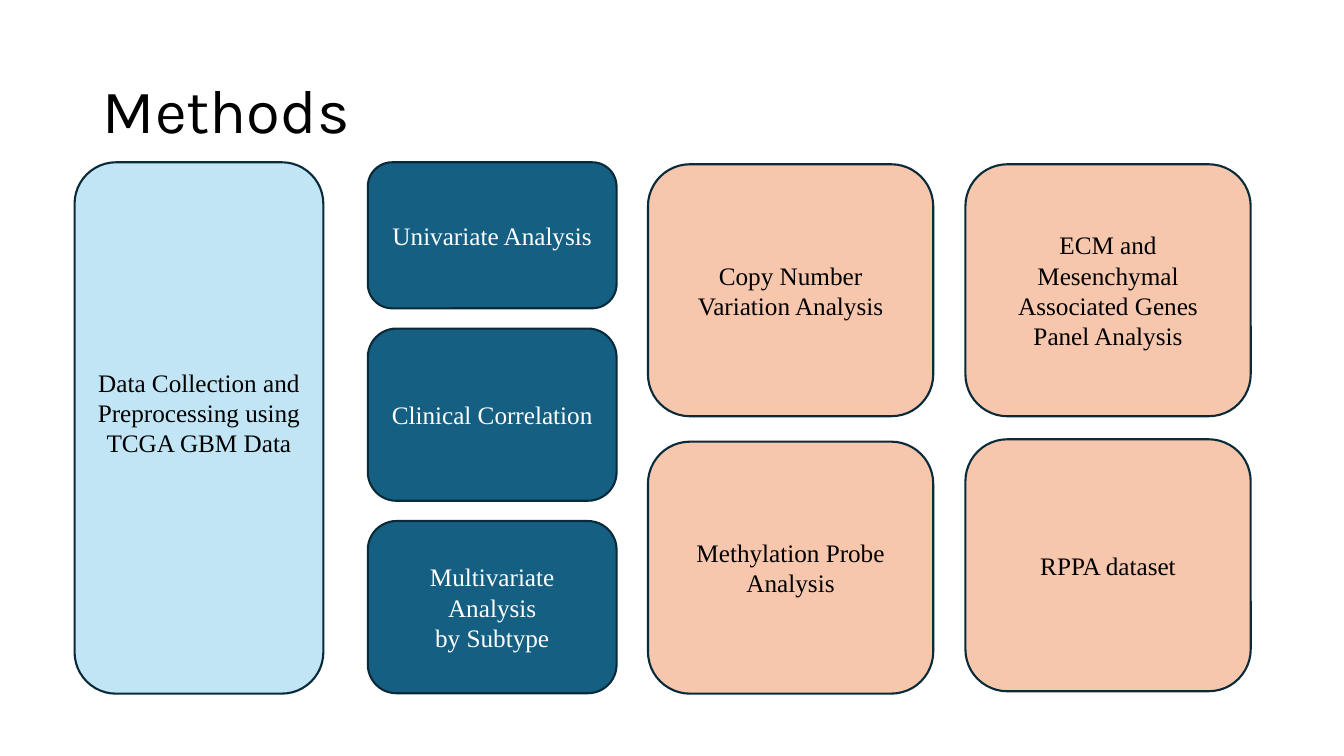
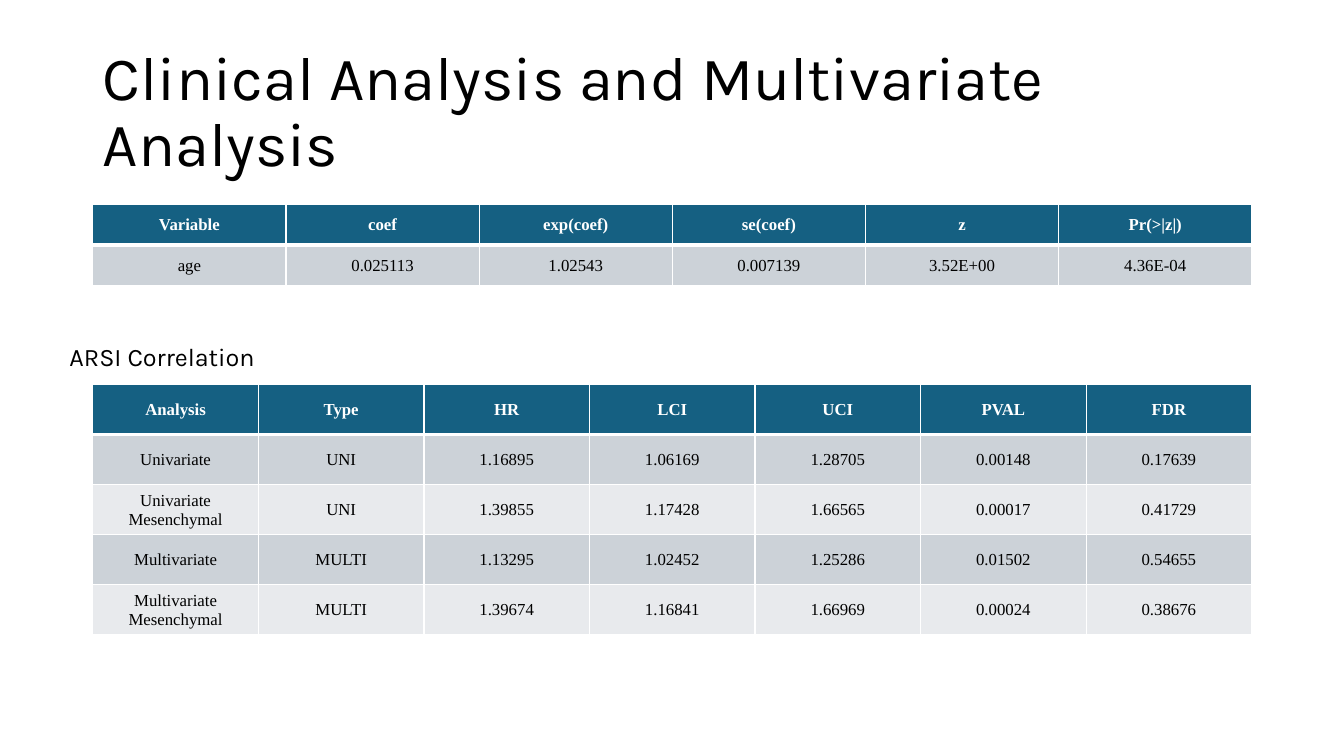
from pptx import Presentation
from pptx.dml.color import RGBColor
from pptx.enum.shapes import MSO_SHAPE
from pptx.enum.text import MSO_ANCHOR, MSO_AUTO_SIZE, PP_ALIGN
from pptx.oxml.ns import qn
from pptx.util import Cm, Pt
from lxml import etree

ROUND = MSO_SHAPE.ROUNDED_RECTANGLE
MIDDLE = MSO_ANCHOR.MIDDLE
FIXED = MSO_AUTO_SIZE.NONE
LEFT, CENTER = PP_ALIGN.LEFT, PP_ALIGN.CENTER

# Shared look
COLORS = {
    "black": "000000", "white": "FFFFFF", "edge": "092A39",
    "teal": "156082", "sky": "C1E5F5", "peach": "F6C6AD",
    "gray": "CCD2D8", "pale": "E8EAED",
}
SANS, SERIF = "Karla", "Times New Roman"
FONTS = {
    "title": {"name": SANS, "size": Pt(44), "bold": False},
    "label": {"name": SANS, "size": Pt(18), "bold": False},
    "card": {"name": SERIF, "size": Pt(18), "bold": False},
    "head": {"name": SERIF, "size": Pt(12), "bold": True},
    "cell": {"name": SERIF, "size": Pt(12), "bold": False},
}
FRAME = {"word_wrap": True, "auto_size": FIXED, "vertical_anchor": MIDDLE}
CELL = {
    "vertical_anchor": MIDDLE, "margin_left": Cm(0.03),
    "margin_right": Cm(0.03), "margin_top": Cm(0.03), "margin_bottom": 0,
}
EDGE, WIDE = 2.34, 29.21  # left edge and width of titles and tables

# Columns of cards: left, top, width, gap, fill, ink, [(height, text)]
COLUMNS = [
    (1.88, 4.09, 6.27, 0, "sky", "black", [
        (13.39, "Data Collection and Preprocessing using\nTCGA GBM Data")]),
    (9.27, 4.09, 6.27, 0.51, "teal", "white", [
        (3.68, "Univariate Analysis"),
        (4.34, "Clinical Correlation"),
        (4.34, "Multivariate Analysis\nby Subtype")]),
    (16.33, 4.14, 7.19, 0.64, "peach", "black", [
        (6.35, "Copy Number Variation Analysis"),
        (6.35, "Methylation Probe Analysis")]),
    (24.33, 4.14, 7.19, 0.58, "peach", "black", [
        (6.35, "ECM and Mesenchymal Associated Genes Panel Analysis"),
        (6.35, "RPPA dataset")]),
]
AGE = [
    ["Variable", "coef", "exp(coef)", "se(coef)", "z", "Pr(>|z|)"],
    ["age", "0.025113", "1.02543", "0.007139", "3.52E+00", "4.36E-04"],
]
ARSI = [
    ["Analysis", "Type", "HR", "LCI", "UCI", "PVAL", "FDR"],
    ["Univariate", "UNI", "1.16895", "1.06169", "1.28705", "0.00148", "0.17639"],
    ["Univariate Mesenchymal", "UNI", "1.39855", "1.17428", "1.66565", "0.00017", "0.41729"],
    ["Multivariate", "MULTI", "1.13295", "1.02452", "1.25286", "0.01502", "0.54655"],
    ["Multivariate Mesenchymal", "MULTI", "1.39674", "1.16841", "1.66969", "0.00024", "0.38676"],
]


def color(name):
    return RGBColor.from_string(COLORS[name])


def apply(item, values):
    for key, value in values.items():
        setattr(item, key, value)


def paint(item, name):
    item.fill.solid()
    item.fill.fore_color.rgb = color(name)


def write(frame, text, style, ink="black", align=LEFT):
    frame.text = text
    for para in frame.paragraphs:
        para.alignment = align
        for run in para.runs:
            apply(run.font, FONTS[style])
            run.font.color.rgb = color(ink)


def add_slide(deck, text):
    slide = deck.slides.add_slide(deck.slide_layouts[5])
    title = slide.shapes.title
    apply(title, {"left": Cm(EDGE), "top": Cm(1.02),
                  "width": Cm(WIDE), "height": Cm(3.68)})
    apply(title.text_frame, FRAME)
    write(title.text_frame, text, "title")
    title.text_frame.paragraphs[0].line_spacing = 0.9
    return slide


def add_card(slide, box, text, fill, ink):
    card = slide.shapes.add_shape(ROUND, *map(Cm, box))
    card.shadow.inherit = False
    paint(card, fill)
    card.line.color.rgb = color("edge")
    card.line.width = Pt(1.5)
    apply(card.text_frame, FRAME)
    write(card.text_frame, text, "card", ink, CENTER)
    return card


def add_stack(slide, left, top, width, gap, fill, ink, items):
    cards = []
    for height, text in items:
        cards.append(add_card(slide, (left, top, width, height), text, fill, ink))
        top += height + gap
    return cards


def add_label(slide, box, text):
    label = slide.shapes.add_textbox(*map(Cm, box))
    label.text_frame.word_wrap = True
    write(label.text_frame, text, "label")


def add_rules(cell, top, base):
    """Draw white borders; top and base are widths in points."""
    props = cell._tc.get_or_add_tcPr()
    for side, width in (("L", 1), ("R", 1), ("T", top), ("B", base)):
        line = etree.SubElement(props, qn("a:ln" + side), w=str(Pt(width)))
        fill = etree.SubElement(line, qn("a:solidFill"))
        etree.SubElement(fill, qn("a:srgbClr"), val=COLORS["white"])


def add_grid(slide, top, pitch, rows):
    count = len(rows[0])
    table = slide.shapes.add_table(
        len(rows), count, Cm(EDGE), Cm(top), Cm(WIDE), Cm(pitch * len(rows))).table
    table.horz_banding = False
    for col in table.columns:
        col.width = Cm(WIDE / count)
    for r, row in enumerate(rows):
        table.rows[r].height = Cm(pitch)
        style, ink = ("cell", "black") if r else ("head", "white")
        fill = ("gray" if r % 2 else "pale") if r else "teal"
        for c, text in enumerate(row):
            cell = table.cell(r, c)
            apply(cell, CELL)
            add_rules(cell, 3 if r == 1 else 1, 1 if r else 3)
            paint(cell, fill)
            write(cell.text_frame, text, style, ink, CENTER)


def main():
    deck = Presentation()
    deck.slide_width, deck.slide_height = Cm(33.87), Cm(19.05)

    # Methods
    slide = add_slide(deck, "Methods")
    stacks = [add_stack(slide, *column) for column in COLUMNS]
    stacks[0][0].text_frame.margin_bottom = Cm(0.9)  # lifts the text a little

    # Result tables
    slide = add_slide(deck, "Clinical Analysis and Multivariate Analysis")
    add_grid(slide, 5.14, 1.03, AGE)
    add_label(slide, (1.5, 8.48, 7.34, 1.02), "ARSI Correlation")
    add_grid(slide, 9.69, 1.26, ARSI)

    deck.save("out.pptx")


if __name__ == "__main__":
    main()
